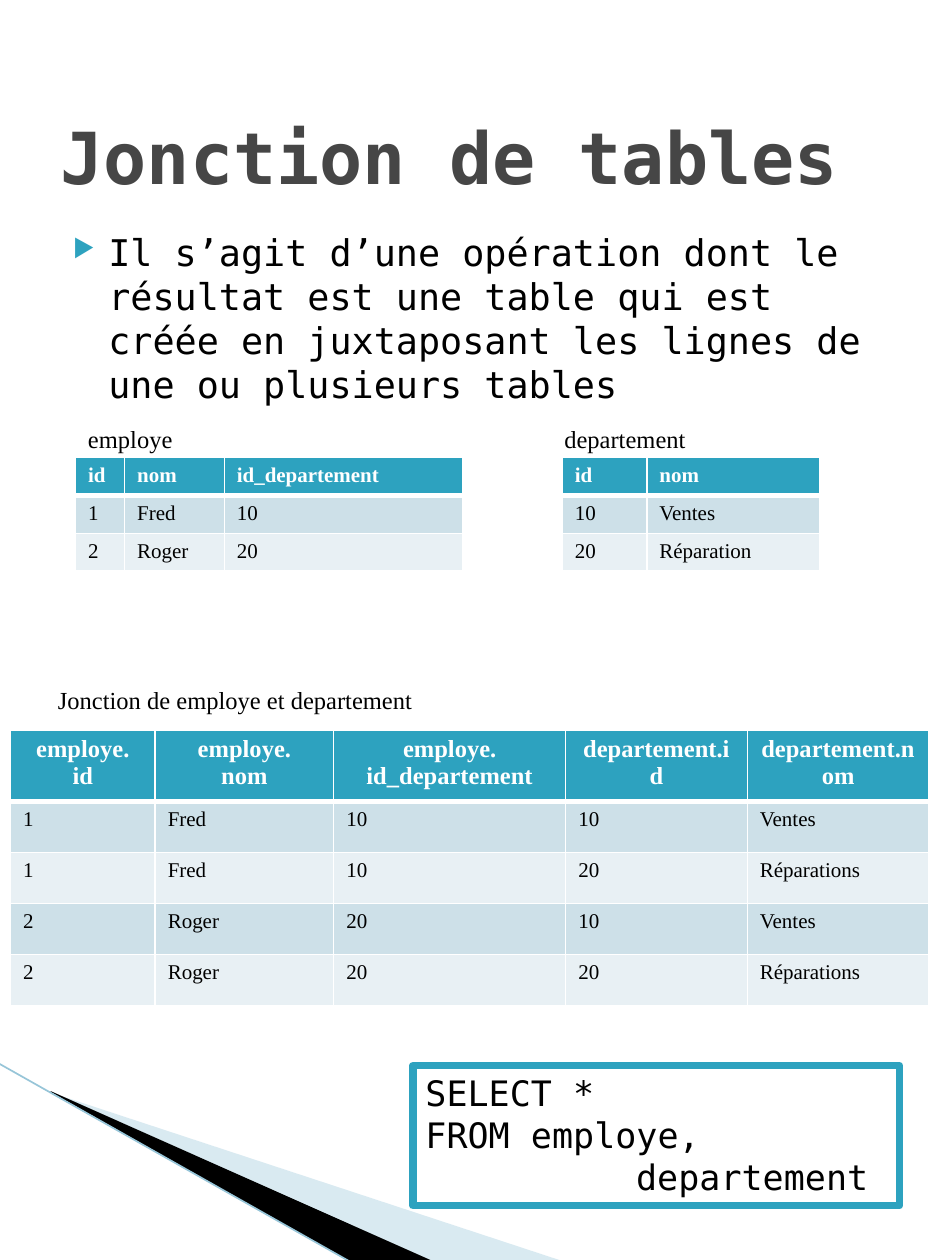
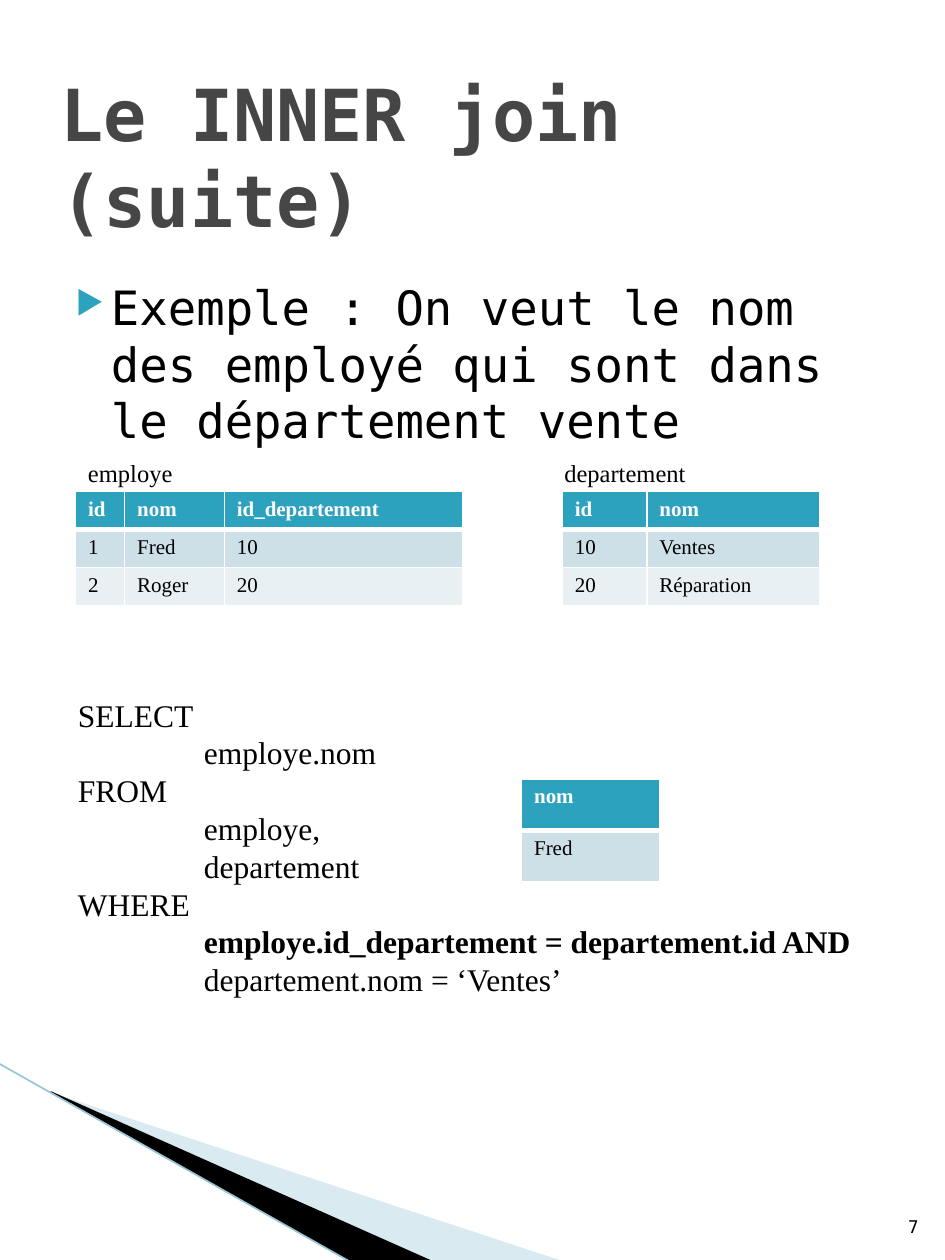
from lxml.etree import SubElement
from pptx import Presentation
from pptx.dml.color import RGBColor as Rgb
from pptx.enum.shapes import MSO_CONNECTOR as Connector, MSO_SHAPE as Shape
from pptx.enum.text import MSO_ANCHOR as Anchor, PP_ALIGN as Align
from pptx.oxml.ns import qn
from pptx.util import Pt

COLORS = {name: Rgb.from_string(value) for name, value in {
    "title": "464646", "text": "000000", "white": "FFFFFF", "accent": "2DA2BF",
    "row_dark": "CDE0E8", "row_light": "E8F0F4",
    "band_pale": "A0CBDC", "band_line": "97C5D8",
}.items()}
MONO, SERIF = "DejaVu Sans Mono", "Times New Roman"


def write_text(box, lines, size, font, color="text", bold=False, anchor=Anchor.TOP,
               align=Align.LEFT):
    """Fill a box with lines, each given as (text, left indent, bold)."""
    frame = box.text_frame
    frame.word_wrap = True
    frame.vertical_anchor = anchor
    for number, (text, indent, strong) in enumerate(lines):
        para = frame.add_paragraph() if number else frame.paragraphs[0]
        para.text = text
        para.alignment = align
        para.line_spacing = Pt(size * 1.2)
        para.font.size, para.font.name = Pt(size), font
        para.font.bold = bold or strong
        para.font.color.rgb = COLORS[color]
        if indent:
            para._p.get_or_add_pPr().set("marL", str(Pt(indent)))
    return frame


def add_table(page, left, top, widths, row_height, rows, header_size=12,
              header_align=Align.LEFT):
    """Add a table with a coloured header, banded rows and white borders."""
    table = page.shapes.add_table(
        len(rows), len(widths), Pt(left), Pt(top),
        Pt(sum(widths)), Pt(row_height * len(rows))).table
    table.horz_banding = False
    for column, width in zip(table.columns, widths):
        column.width = Pt(width)
    for r, row in enumerate(rows):
        table.rows[r].height = Pt(row_height)
        header = r == 0
        for c, text in enumerate(row):
            cell = table.cell(r, c)
            cell.text = text
            borders = {"L": 1, "R": 1, "T": 3 if r == 1 else 1, "B": 3 if header else 1}
            for side, width in borders.items():
                line = SubElement(cell._tc.get_or_add_tcPr(), qn(f"a:ln{side}"),
                                  w=str(Pt(width)))
                fill = SubElement(line, qn("a:solidFill"))
                SubElement(fill, qn("a:srgbClr"), val=str(COLORS["white"]))
            cell.fill.solid()
            cell.fill.fore_color.rgb = COLORS[
                "accent" if header else "row_dark" if r % 2 else "row_light"]
            for para in cell.text_frame.paragraphs:
                para.alignment = header_align if header else Align.LEFT
                para.font.size = Pt(header_size if header else 12)
                para.font.name, para.font.bold = SERIF, header
                para.font.color.rgb = COLORS["white" if header else "text"]


deck = Presentation()
deck.slide_width, deck.slide_height = Pt(540), Pt(720)

BANDS = [
    ("band_pale", [(29.5, 624.5), (321, 720.5), (246, 720.5), (29.5, 624)]),
    ("text", [(29, 623.5), (247, 720.5), (201, 721.5), (29, 624)]),
]
SOURCE_TABLES = [
    ("employe", 43.2, 43.2, [28, 57, 136.5],
     [("id", "nom", "id_departement"), ("1", "Fred", "10"), ("2", "Roger", "20")]),
    ("departement", 315.4, 321.3, [48.3, 98.7],
     [("id", "nom"), ("10", "Ventes"), ("20", "Réparation")]),
]
# Title, bullet text, bullet left, bullet top, bullet size, top of source tables
CONTENTS = [
    ("Jonction de tables",
     "Il s’agit d’une opération dont le résultat est une table qui est créée en "
     "juxtaposant les lignes de une ou plusieurs tables", 26, 127.5, 21, 261.5),
    ("Le INNER join (suite)",
     "Exemple : On veut le nom des employé qui sont dans le département vente",
     27.5, 155.5, 27, 281),
]

# Parts that both slides share
pages = []
for title, bullet, bullet_left, bullet_top, bullet_size, tables_top in CONTENTS:
    page = deck.slides.add_slide(deck.slide_layouts[6])
    pages.append(page)

    # Corner bands
    for color, points in BANDS:
        corners = [(Pt(x), Pt(y)) for x, y in points]
        builder = page.shapes.build_freeform(*corners[0], scale=1.0)
        builder.add_line_segments(corners[1:], close=True)
        band = builder.convert_to_shape()
        band.shadow.inherit = False
        band.fill.solid()
        band.fill.fore_color.rgb = COLORS[color]
        band.line.fill.background()
        if color == "band_pale":
            tint = band._element.spPr.find(f".//{qn('a:srgbClr')}")
            SubElement(tint, qn("a:alpha"), val="40000")
    edge = page.shapes.add_connector(Connector.STRAIGHT, Pt(-0.7), Pt(607.7),
                                     Pt(201), Pt(721.5))
    edge.line.color.rgb = COLORS["band_line"]
    edge.line.width = Pt(0.95)
    SubElement(edge._element.spPr, qn("a:effectLst"))

    # Title
    box = page.shapes.add_textbox(Pt(27.5), Pt(29), Pt(486), Pt(120))
    write_text(box, [(title, 0, True)], 41, MONO, "title", anchor=Anchor.MIDDLE)

    # Bullet
    box = page.shapes.add_textbox(Pt(bullet_left), Pt(bullet_top), Pt(486), Pt(475))
    para = write_text(box, [(bullet, 28.8, False)], bullet_size, MONO).paragraphs[0]
    para.space_before = Pt(4)
    properties = para._p.get_or_add_pPr()
    properties.set("indent", str(Pt(-20.2)))
    bullet_color = SubElement(properties, qn("a:buClr"))
    SubElement(bullet_color, qn("a:srgbClr"), val=str(COLORS["accent"]))
    SubElement(properties, qn("a:buSzPct"), val="68000")
    SubElement(properties, qn("a:buChar"), char="▶")
    # The bullet marks must precede the default run properties
    defaults = properties.find(qn("a:defRPr"))
    if defaults is not None:
        properties.append(defaults)

    # Source tables with their names
    for name, name_left, left, widths, rows in SOURCE_TABLES:
        box = page.shapes.add_textbox(Pt(name_left), Pt(tables_top - 23), Pt(130), Pt(24.5))
        write_text(box, [(name, 0, False)], 14, SERIF)
        add_table(page, left, tables_top, widths, 20.7, rows)

junction, inner_join = pages

# Slide 1: joined table
box = junction.shapes.add_textbox(Pt(26), Pt(388), Pt(284), Pt(24.5))
write_text(box, [("Jonction de employe et departement", 0, False)], 14, SERIF)
employees = [("1", "Fred", "10"), ("2", "Roger", "20")]
departments = [("10", "Ventes"), ("20", "Réparations")]
joined = [employee + department for employee in employees for department in departments]
header = ("employe.\nid", "employe.\nnom", "employe.\nid_departement",
          "departement.id", "departement.nom")
add_table(junction, 6, 417, [82.7, 102, 132.6, 103.8, 103.8], 29.2, [header] + joined,
          header_size=14, header_align=Align.CENTER)

# Slide 1: query box
box = junction.shapes.add_shape(Shape.RECTANGLE, Pt(236), Pt(609), Pt(278), Pt(80))
box.shadow.inherit = False
box.fill.solid()
box.fill.fore_color.rgb = COLORS["white"]
box.line.color.rgb = COLORS["accent"]
box.line.width = Pt(4.33)
write_text(box, [("SELECT *", 0, False), ("FROM employe,", 0, False),
                 ("departement", 120.4, False)], 20, MONO)

# Slide 2: query
box = inner_join.shapes.add_textbox(Pt(37.5), Pt(394), Pt(476), Pt(181.5))
write_text(box, [
    ("SELECT", 0, False),
    ("employe.nom", 72, False),
    ("FROM", 0, False),
    ("employe,", 72, False),
    ("departement", 72, False),
    ("WHERE", 0, False),
    ("employe.id_departement = departement.id AND", 72, True),
    ("departement.nom = ‘Ventes’", 72, False),
], 18, SERIF)

# Slide 2: result and page number
add_table(inner_join, 298, 445, [79.2], 29.5, [("nom",), ("Fred",)])
box = inner_join.shapes.add_textbox(Pt(510.5), Pt(672.5), Pt(21.6), Pt(38))
write_text(box, [("7", 0, False)], 10, MONO, anchor=Anchor.BOTTOM, align=Align.RIGHT)

deck.save("out.pptx")
